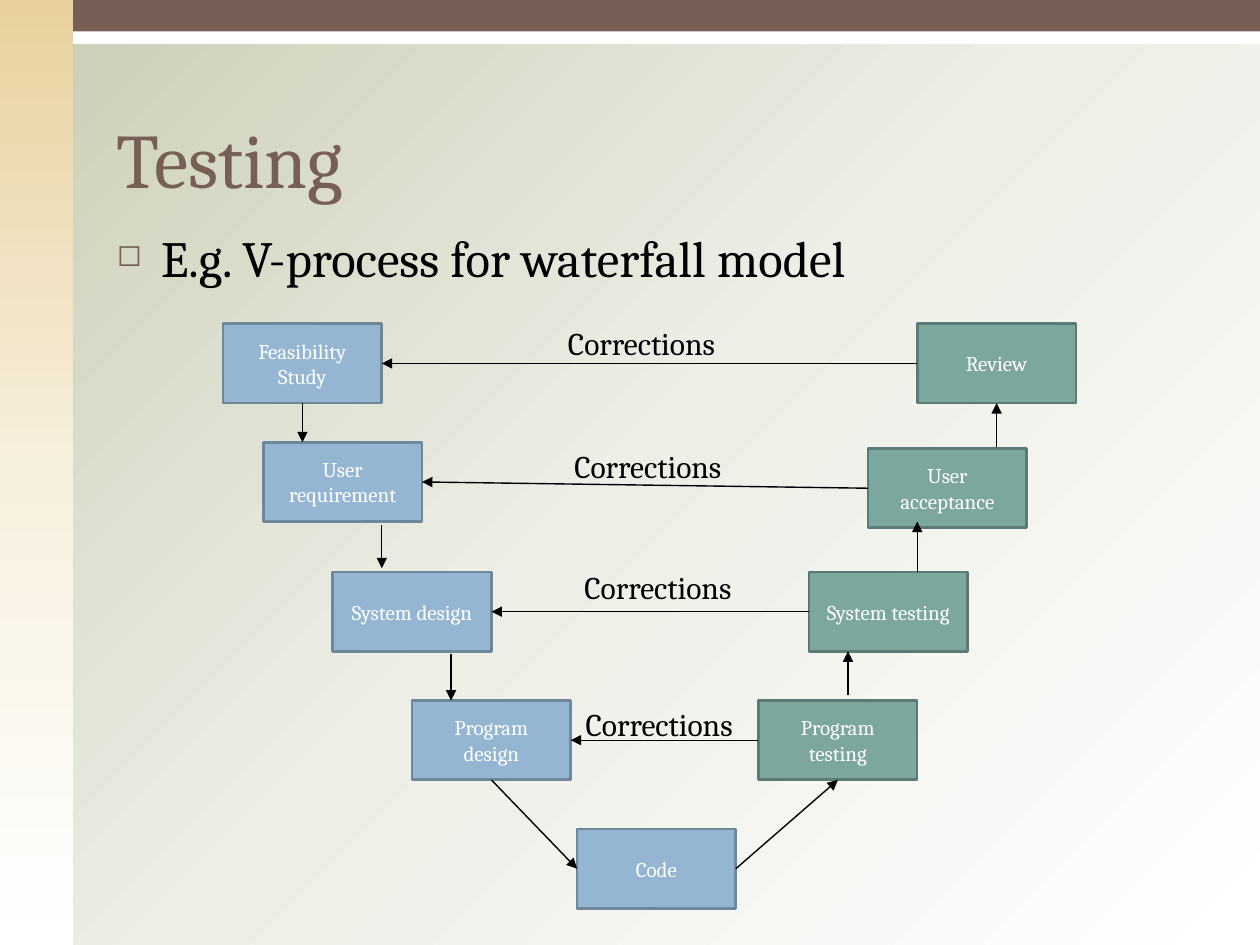
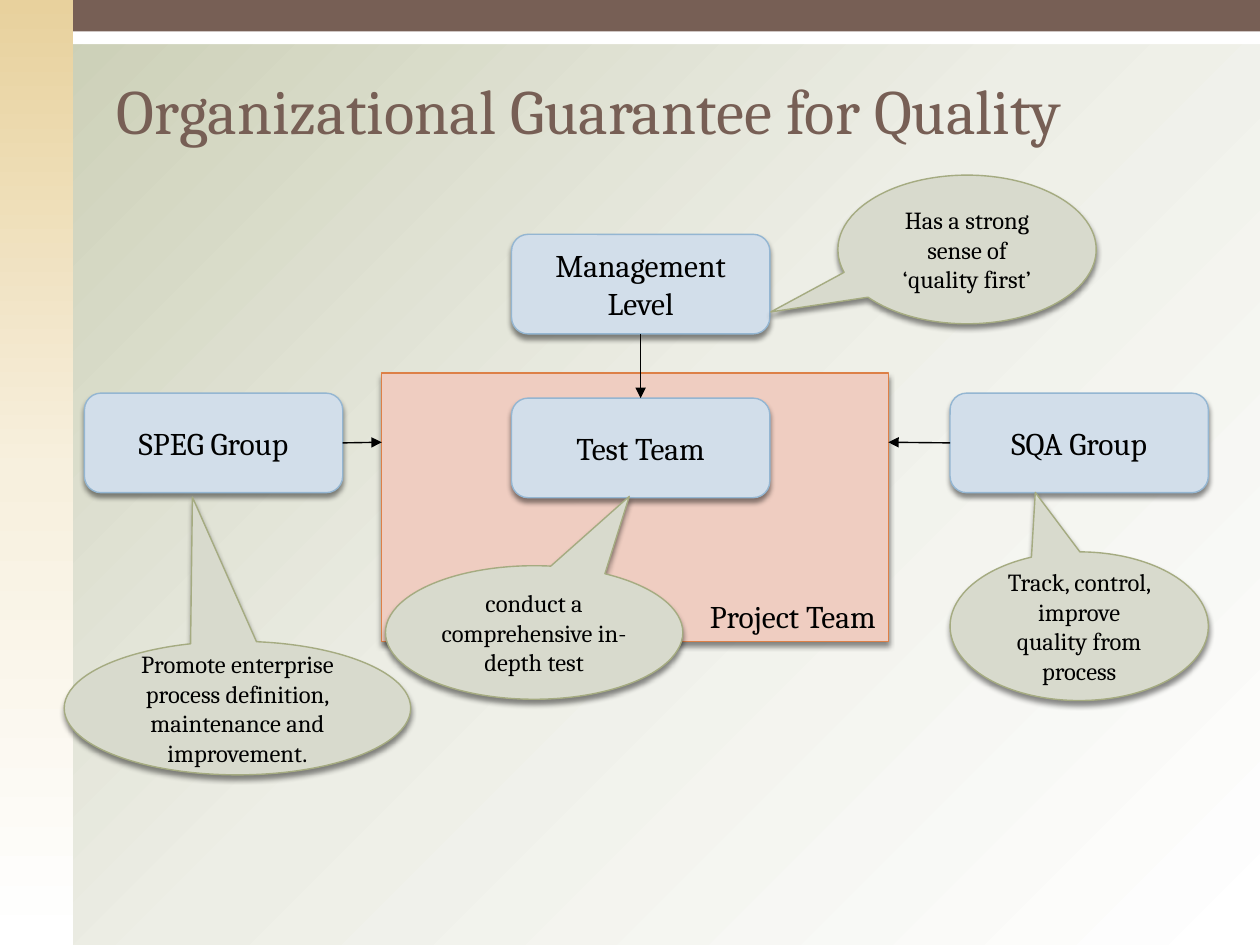
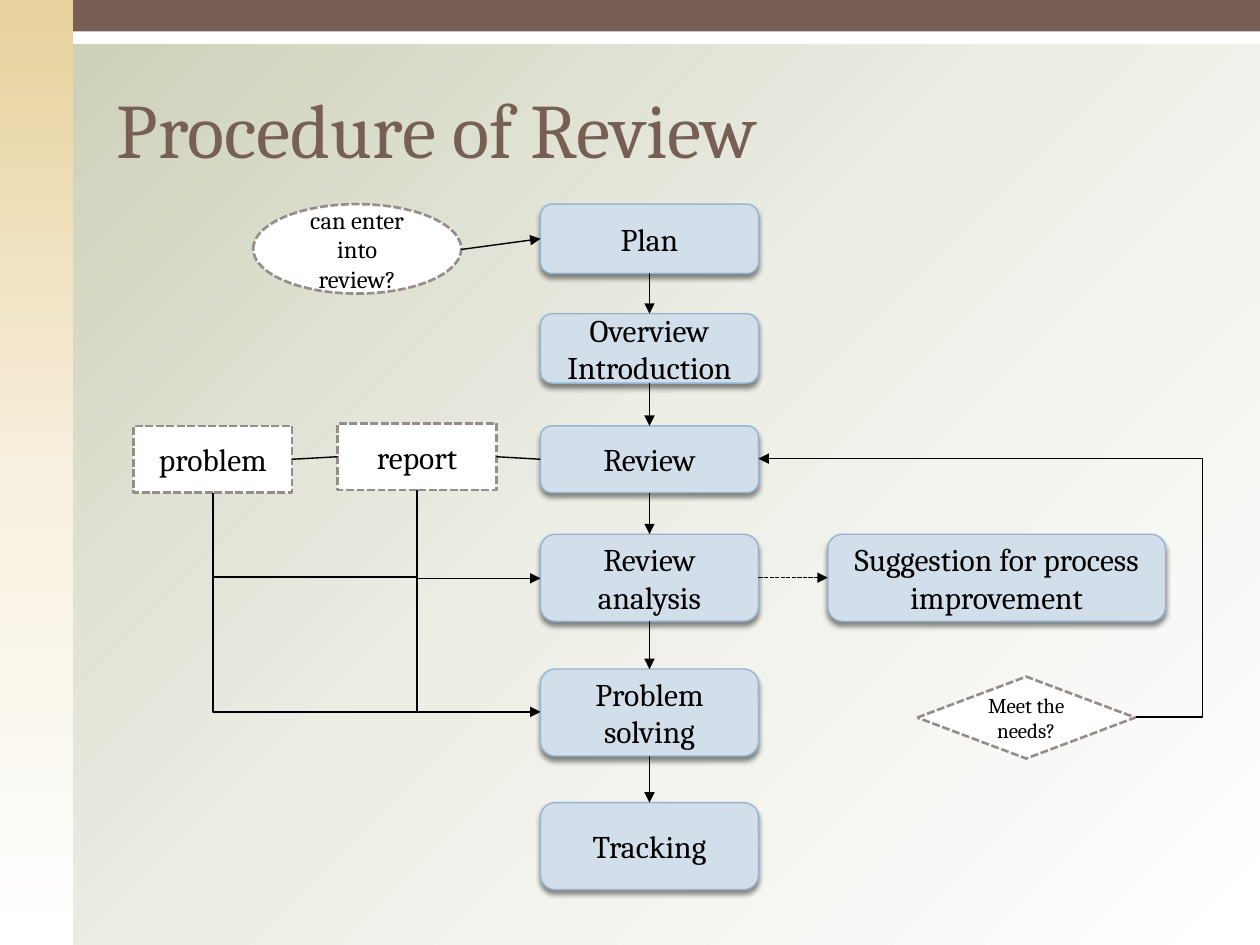
import collections
import copy

import pptx
import pptx.dml.color
import pptx.enum.dml
import pptx.enum.shapes
import pptx.enum.text
import pptx.oxml
import pptx.oxml.ns
import pptx.shapes.autoshape
import pptx.util

Inches = pptx.util.Inches
Pt = pptx.util.Pt
RGBColor = pptx.dml.color.RGBColor
SHAPE = pptx.enum.shapes.MSO_SHAPE
CONNECTOR = pptx.enum.shapes.MSO_CONNECTOR
ALIGN = pptx.enum.text.PP_ALIGN
ANCHOR = pptx.enum.text.MSO_ANCHOR
DASHED = pptx.enum.dml.MSO_LINE.SQUARE_DOT
qn = pptx.oxml.ns.qn

FONT = "Cambria"
BLACK = RGBColor(0x00, 0x00, 0x00)
WHITE = RGBColor(0xFF, 0xFF, 0xFF)
BROWN = RGBColor(0x77, 0x5F, 0x55)
SAGE = RGBColor(0xC9, 0xCD, 0xB3)
PALE_SAGE = RGBColor(0xED, 0xEE, 0xE6)
SAND = RGBColor(0xE8, 0xD1, 0x9D)
PALE_SAND = RGBColor(0xF7, 0xF0, 0xDE)
BLUE = RGBColor(0x94, 0xB6, 0xD2)
DARK_BLUE = RGBColor(0x6D, 0x87, 0x9B)
PALE_BLUE = RGBColor(0xD2, 0xDE, 0xEA)
GREEN = RGBColor(0x7B, 0xA7, 0x9D)
DARK_GREEN = RGBColor(0x5B, 0x7C, 0x74)
ORANGE = RGBColor(0xDD, 0x80, 0x47)
PALE_ORANGE = RGBColor(0xEF, 0xCD, 0xC1)
OLIVE = RGBColor(0xA5, 0xAB, 0x81)
PALE_OLIVE = RGBColor(0xD8, 0xDA, 0xCD)
GREY = RGBColor(0x96, 0x8C, 0x8C)

Style = collections.namedtuple("Style", "fill line width text shadow dash")
BUILD = Style(BLUE, DARK_BLUE, 1.5, WHITE, False, None)
CHECK = Style(GREEN, DARK_GREEN, 1.5, WHITE, False, None)
STEP = Style(PALE_BLUE, BLUE, 0.79, BLACK, True, None)
TEAM = Style(PALE_ORANGE, ORANGE, 0.79, BLACK, True, None)
REMARK = Style(PALE_OLIVE, OLIVE, 0.79, BLACK, True, None)
NOTE = Style(WHITE, GREY, 1.5, BLACK, False, DASHED)

NAMESPACE = pptx.oxml.ns.nsdecls("a")
SHADOW = (
    f'<a:outerShdw {NAMESPACE} blurRad="38100" dist="30480" dir="5400000" rotWithShape="0">'
    '<a:srgbClr val="000000"><a:alpha val="45000"/></a:srgbClr></a:outerShdw>'
)


def add_box(slide, kind, at, text, style, size):
    shape = slide.shapes.add_shape(kind, *map(Inches, at))
    shape.shadow.inherit = False
    if style.shadow:
        shape.element.spPr.find(qn("a:effectLst")).append(pptx.oxml.parse_xml(SHADOW))
    shape.fill.solid()
    shape.fill.fore_color.rgb = style.fill
    shape.line.color.rgb = style.line
    shape.line.width = Pt(style.width)
    if style.dash:
        shape.line.dash_style = style.dash
    frame = shape.text_frame
    frame.word_wrap = True
    frame.vertical_anchor = ANCHOR.MIDDLE
    frame.text = text
    paragraph = frame.paragraphs[0]
    paragraph.alignment = ALIGN.CENTER
    paragraph.font.name = FONT
    paragraph.font.size = Pt(size)
    paragraph.font.color.rgb = style.text
    return shape


def add_link(slide, begin, end, arrow=True, kind=CONNECTOR.STRAIGHT):
    connector = slide.shapes.add_connector(kind, 0, 0, 0, 0)
    if isinstance(begin[0], pptx.shapes.autoshape.Shape):
        connector.begin_connect(*begin)
    else:
        connector.begin_x, connector.begin_y = map(Inches, begin)
    if isinstance(end[0], pptx.shapes.autoshape.Shape):
        connector.end_connect(*end)
    else:
        connector.end_x, connector.end_y = map(Inches, end)
    connector.line.color.rgb = BLACK
    connector.line.width = Pt(0.79)
    properties = connector.element.spPr
    if arrow:
        tail = pptx.oxml.parse_xml(f'<a:tailEnd {NAMESPACE} type="triangle"/>')
        properties.find(qn("a:ln")).append(tail)
    properties.append(pptx.oxml.parse_xml(f"<a:effectLst {NAMESPACE}/>"))
    return connector


presentation = pptx.Presentation()
presentation.slide_width = Inches(10)
presentation.slide_height = Inches(7.5)
master = presentation.slide_master

titles = [
    ("Testing", 0.42, 1.25, 44),
    ("Organizational Guarantee for Quality", -0.03, 1.25, 36),
    ("Procedure of Review", 0.52, 0.91, 44),
]
slides = []
for title, top, height, size in titles:
    slide = presentation.slides.add_slide(presentation.slide_layouts[6])
    box = slide.shapes.add_textbox(Inches(0.83), Inches(top), Inches(8.75), Inches(height))
    box.text_frame.word_wrap = True
    box.text_frame.vertical_anchor = ANCHOR.BOTTOM
    box.text_frame.text = title
    paragraph = box.text_frame.paragraphs[0]
    paragraph.font.name = FONT
    paragraph.font.size = Pt(size)
    paragraph.font.color.rgb = BROWN
    slides.append(slide)
testing, organization, review_procedure = slides

bands = []
for index, (at, color) in enumerate([
    ((0, 0, 10, 0.35), WHITE),
    ((0, 0, 0.58, 7.5), SAND),
    ((0.58, 0, 9.42, 0.25), BROWN),
]):
    band = testing.shapes.add_shape(SHAPE.RECTANGLE, *map(Inches, at))
    band.shadow.inherit = False
    band.fill.solid()
    band.fill.fore_color.rgb = color
    band.line.fill.background()
    master.shapes.element.insert(2 + index, band.element)
    bands.append(band)

side_band = bands[1]
for fill, element, colors, angle in [
    (master.background.fill, master.element, (SAGE, PALE_SAGE, WHITE), 315),
    (side_band.fill, side_band.element, (SAND, PALE_SAND, WHITE), 270),
]:
    fill.gradient()
    fill.gradient_angle = angle
    stop_list = element.find(".//" + qn("a:gsLst"))
    stop_list.append(copy.deepcopy(stop_list[0]))
    for stop, position, color in zip(fill.gradient_stops, (0, 0.5, 1), colors):
        stop.position = position
        stop.color.rgb = color

body = testing.shapes.add_textbox(Inches(0.83), Inches(1.75), Inches(8.75), Inches(0.54))
body.text_frame.word_wrap = True
body.text_frame.text = "E.g. V-process for waterfall model"
paragraph = body.text_frame.paragraphs[0]
paragraph.space_before = Pt(7)
paragraph.font.name = FONT
paragraph.font.size = Pt(29)
paragraph.font.color.rgb = BLACK
bullet_properties = paragraph.font.fill and paragraph.runs[0].font and body.element.find(".//" + qn("a:pPr"))
bullet_properties.set("marL", str(Inches(0.35)))
bullet_properties.set("indent", str(-Inches(0.35)))
for bullet in (
    f'<a:buClr {NAMESPACE}><a:srgbClr val="{BROWN}"/></a:buClr>',
    f'<a:buSzPct {NAMESPACE} val="60000"/>',
    f'<a:buChar {NAMESPACE} char="◻"/>',
):
    bullet_properties.find(qn("a:defRPr")).addprevious(pptx.oxml.parse_xml(bullet))

stages = {}
for text, left, top, style in [
    ("Feasibility Study", 1.77, 2.57, BUILD),
    ("User requirement", 2.09, 3.51, BUILD),
    ("System design", 2.64, 4.54, BUILD),
    ("Program design", 3.27, 5.56, BUILD),
    ("Code", 4.58, 6.58, BUILD),
    ("Program testing", 6.02, 5.56, CHECK),
    ("System testing", 6.42, 4.54, CHECK),
    ("User acceptance", 6.89, 3.56, CHECK),
    ("Review", 7.28, 2.57, CHECK),
]:
    at = (left, top, 1.26, 0.63)
    stages[text] = add_box(testing, SHAPE.RECTANGLE, at, text, style, 12)

for source, target, left, top in [
    ("Review", "Feasibility Study", 4.41, 2.52),
    ("User acceptance", "User requirement", 4.46, 3.5),
    ("System testing", "System design", 4.54, 4.46),
    ("Program testing", "Program design", 4.55, 5.55),
]:
    add_link(testing, (stages[source], 1), (stages[target], 3))
    label = testing.shapes.add_textbox(Inches(left), Inches(top), Inches(1.5), Inches(0.4))
    label.text_frame.word_wrap = False
    label.text_frame.auto_size = pptx.enum.text.MSO_AUTO_SIZE.SHAPE_TO_FIT_TEXT
    label.text_frame.text = "Corrections"
    paragraph = label.text_frame.paragraphs[0]
    paragraph.font.name = FONT
    paragraph.font.size = Pt(18)
    paragraph.font.color.rgb = BLACK

for begin, end in [
    ((stages["Feasibility Study"], 2), (2.4, 3.51)),
    ((3.03, 4.17), (3.03, 4.51)),
    ((3.58, 5.19), (3.58, 5.56)),
    ((stages["Program design"], 2), (stages["Code"], 1)),
    ((stages["Code"], 3), (stages["Program testing"], 2)),
    ((6.73, 5.52), (6.73, 5.17)),
    ((7.28, 4.54), (7.28, 4.14)),
    ((7.91, 3.55), (stages["Review"], 2)),
]:
    add_link(testing, begin, end)

project_team = add_box(
    organization, SHAPE.RECTANGLE, (3.03, 2.96, 4.02, 2.13), "Project Team", TEAM, 18
)
project_team.text_frame.vertical_anchor = ANCHOR.BOTTOM
project_team.text_frame.paragraphs[0].alignment = ALIGN.RIGHT

groups = {}
for text, left, top in [
    ("Management Level", 4.06, 1.86),
    ("Test Team", 4.06, 3.16),
    ("SPEG Group", 0.67, 3.12),
    ("SQA Group", 7.54, 3.12),
]:
    at = (left, top, 2.05, 0.79)
    groups[text] = add_box(organization, SHAPE.ROUNDED_RECTANGLE, at, text, STEP, 18)

add_link(organization, (groups["Management Level"], 2), (groups["Test Team"], 0))
add_link(organization, (groups["SPEG Group"], 3), (3.03, 3.51))
add_link(organization, (groups["SQA Group"], 1), (7.05, 3.51))

for text, at, pointer in [
    ("Has a strong sense of ‘quality first’", (6.65, 1.39, 2.05, 1.18), (-0.76, 0.42)),
    ("Track, control, improve quality from process", (7.54, 4.38, 2.05, 1.18), (-0.17, -0.9)),
    ("conduct a comprehensive in-depth test", (3.06, 4.49, 2.36, 1.06), (0.32, -1.02)),
    (
        "Promote enterprise process definition, maintenance and improvement.",
        (0.51, 5.09, 2.75, 1.06),
        (-0.13, -1.58),
    ),
]:
    callout = add_box(organization, SHAPE.OVAL_CALLOUT, at, text, REMARK, 14)
    callout.adjustments[0], callout.adjustments[1] = pointer

steps = []
for text, top, height in [
    ("Plan", 1.62, 0.55),
    ("Overview Introduction", 2.49, 0.55),
    ("Review", 3.38, 0.53),
    ("Review analysis", 4.24, 0.69),
    ("Problem solving", 5.31, 0.69),
    ("Tracking", 6.37, 0.69),
]:
    at = (4.29, top, 1.73, height)
    steps.append(add_box(review_procedure, SHAPE.ROUNDED_RECTANGLE, at, text, STEP, 18))
for upper, lower in zip(steps, steps[1:]):
    add_link(review_procedure, (upper, 2), (lower, 0))
plan, overview, review, analysis, solving, tracking = steps

suggestion = add_box(
    review_procedure,
    SHAPE.ROUNDED_RECTANGLE,
    (6.57, 4.24, 2.68, 0.69),
    "Suggestion for process improvement",
    STEP,
    18,
)
add_box(review_procedure, SHAPE.OVAL, (2.01, 1.62, 1.65, 0.71), "can enter into review?", NOTE, 14)
add_box(review_procedure, SHAPE.DIAMOND, (7.28, 5.37, 1.73, 0.65), "Meet the needs?", NOTE, 12)
problem = add_box(review_procedure, SHAPE.RECTANGLE, (1.06, 3.38, 1.26, 0.53), "problem", NOTE, 18)
report = add_box(review_procedure, SHAPE.RECTANGLE, (2.68, 3.36, 1.26, 0.53), "report", NOTE, 18)

add_link(review_procedure, (3.66, 1.98), (plan, 1))
add_link(review_procedure, (report, 3), (review, 1), arrow=False)
add_link(review_procedure, (problem, 3), (report, 1), arrow=False)
suggestion_link = add_link(review_procedure, (analysis, 3), (suggestion, 1))
suggestion_link.line.dash_style = DASHED

feedback = add_link(review_procedure, (9.02, 5.69), (6.02, 3.64), kind=CONNECTOR.ELBOW)
guide = pptx.oxml.parse_xml(f'<a:gd {NAMESPACE} name="adj1" fmla="val -17500"/>')
feedback.element.find(".//" + qn("a:avLst")).append(guide)

for left, top, right, bottom, arrow in [
    (3.31, 3.89, 4.29, 4.59, True),
    (1.69, 3.91, 3.31, 4.58, False),
    (3.31, 4.58, 4.29, 5.65, True),
    (1.69, 4.58, 3.31, 5.65, False),
]:
    center_x, center_y = (left + right) / 2, (top + bottom) / 2
    half_width, half_height = (right - left) / 2, (bottom - top) / 2
    elbow = add_link(
        review_procedure,
        (center_x + half_height, center_y - half_width),
        (center_x - half_height, center_y + half_width),
        arrow,
        CONNECTOR.ELBOW,
    )
    elbow.element.find(".//" + qn("a:xfrm")).set("rot", "16200000")
    elbow.element.find(".//" + qn("a:prstGeom")).set("prst", "bentConnector2")

presentation.save("out.pptx")
